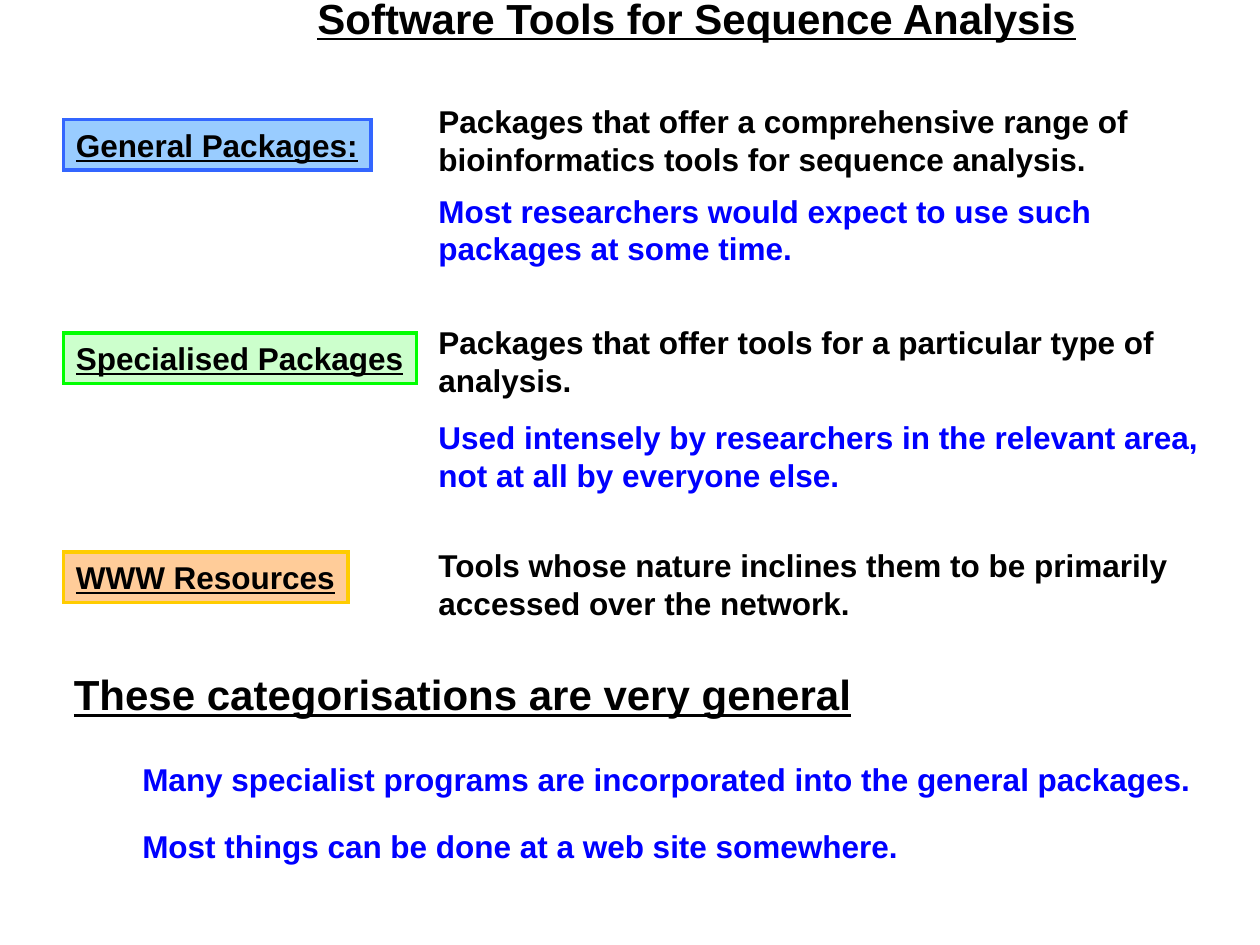
from dataclasses import dataclass
from typing import Optional

from lxml.etree import SubElement
from pptx import Presentation
from pptx.dml.color import RGBColor
from pptx.enum.shapes import MSO_SHAPE
from pptx.enum.text import MSO_ANCHOR, MSO_AUTO_SIZE, PP_ALIGN
from pptx.oxml.ns import qn
from pptx.shapes.autoshape import Shape
from pptx.slide import Slide
from pptx.util import Cm, Pt

BLACK = RGBColor(0x00, 0x00, 0x00)
BLUE = RGBColor(0x00, 0x00, 0xFF)
SKY_FILL = RGBColor(0x99, 0xCC, 0xFF)
SKY_LINE = RGBColor(0x33, 0x66, 0xFF)
GREEN_FILL = RGBColor(0xCC, 0xFF, 0xCC)
GREEN_LINE = RGBColor(0x00, 0xFF, 0x00)
ORANGE_FILL = RGBColor(0xFF, 0xCC, 0x99)
ORANGE_LINE = RGBColor(0xFF, 0xCC, 0x00)

FONT = "Arial"
BODY_SIZE, HEADING_SIZE = 18, 24
# Box heights in centimetres
LINE_HEIGHT, TWO_LINE_HEIGHT, HEADING_HEIGHT = 1.02, 1.78, 1.27
LABEL_LEFT, DETAIL_LEFT, DETAIL_WIDTH, REMARK_LEFT = 1.28, 8.59, 16.26, 2.62


@dataclass(frozen=True)
class Category:
    label: str
    label_top: float
    label_width: float
    fill: RGBColor
    line: RGBColor
    description: str
    description_top: float
    usage: Optional[str] = None
    usage_top: float = 0


@dataclass(frozen=True)
class Remark:
    text: str
    top: float
    width: float


CATEGORIES = [
    Category("General Packages:", 2.41, 6.2, SKY_FILL, SKY_LINE,
             "Packages that offer a comprehensive range of bioinformatics "
             "tools for sequence analysis.", 1.93,
             "Most researchers would expect to use such packages at some time.", 3.74),
    Category("Specialised Packages", 6.71, 7.12, GREEN_FILL, GREEN_LINE,
             "Packages that offer tools for a particular type of analysis.", 6.39,
             "Used intensely by researchers in the relevant area, "
             "not at all by everyone else.", 8.31),
    Category("WWW Resources", 11.13, 5.74, ORANGE_FILL, ORANGE_LINE,
             "Tools whose nature inclines them to be primarily accessed "
             "over the network.", 10.89),
]

REMARKS = [
    Remark("Many specialist programs are incorporated into the general packages.", 15.19, 21.77),
    Remark("Most things can be done at a web site somewhere.", 16.54, 20.62),
]


def write_text(box: Shape, text: str, *, size: int = BODY_SIZE, color: RGBColor = BLACK,
               underline: bool = False, wrap: bool = True,
               auto_size: MSO_AUTO_SIZE = MSO_AUTO_SIZE.SHAPE_TO_FIT_TEXT) -> None:
    frame = box.text_frame
    frame.word_wrap = wrap
    frame.auto_size = auto_size
    frame.vertical_anchor = MSO_ANCHOR.TOP
    para = frame.paragraphs[0]
    para.alignment = PP_ALIGN.LEFT
    span = para.add_run()
    span.text = text
    span.font.name = FONT
    span.font.size = Pt(size)
    span.font.bold = True
    span.font.underline = underline
    span.font.color.rgb = color


def add_text(page: Slide, text: str, left: float, top: float, width: float,
             height: float, **text_format) -> None:
    box = page.shapes.add_textbox(Cm(left), Cm(top), Cm(width), Cm(height))
    write_text(box, text, **text_format)


def add_category(page: Slide, category: Category) -> None:
    # Coloured label with square corners
    box = page.shapes.add_shape(MSO_SHAPE.RECTANGLE, Cm(LABEL_LEFT), Cm(category.label_top),
                                Cm(category.label_width), Cm(LINE_HEIGHT))
    box.shadow.inherit = False
    box.fill.solid()
    box.fill.fore_color.rgb = category.fill
    box.line.color.rgb = category.line
    box.line.width = Pt(2)
    SubElement(box.line._get_or_add_ln(), qn("a:miter"), lim="800000")
    # A zero right margin leaves the label room to stay on one line
    box.text_frame.margin_right = Cm(0)
    write_text(box, category.label, underline=True, auto_size=MSO_AUTO_SIZE.NONE)

    # Description and who uses it
    add_text(page, category.description, DETAIL_LEFT, category.description_top,
             DETAIL_WIDTH, TWO_LINE_HEIGHT)
    if category.usage:
        add_text(page, category.usage, DETAIL_LEFT, category.usage_top,
                 DETAIL_WIDTH, TWO_LINE_HEIGHT, color=BLUE)


def main() -> None:
    deck = Presentation()
    deck.slide_width, deck.slide_height = Cm(25.4), Cm(19.05)
    page = deck.slides.add_slide(deck.slide_layouts[6])

    # Title
    add_text(page, "Software Tools for Sequence Analysis", 6.15, -0.28, 15.88,
             HEADING_HEIGHT, size=HEADING_SIZE, underline=True, wrap=False)

    # Package categories
    for category in CATEGORIES:
        add_category(page, category)

    # Closing heading and remarks
    add_text(page, "These categorisations are very general", 1.24, 13.36, 16.89,
             HEADING_HEIGHT, size=HEADING_SIZE, underline=True)
    for remark in REMARKS:
        add_text(page, remark.text, REMARK_LEFT, remark.top, remark.width,
                 LINE_HEIGHT, color=BLUE)

    deck.save("out.pptx")


if __name__ == "__main__":
    main()
